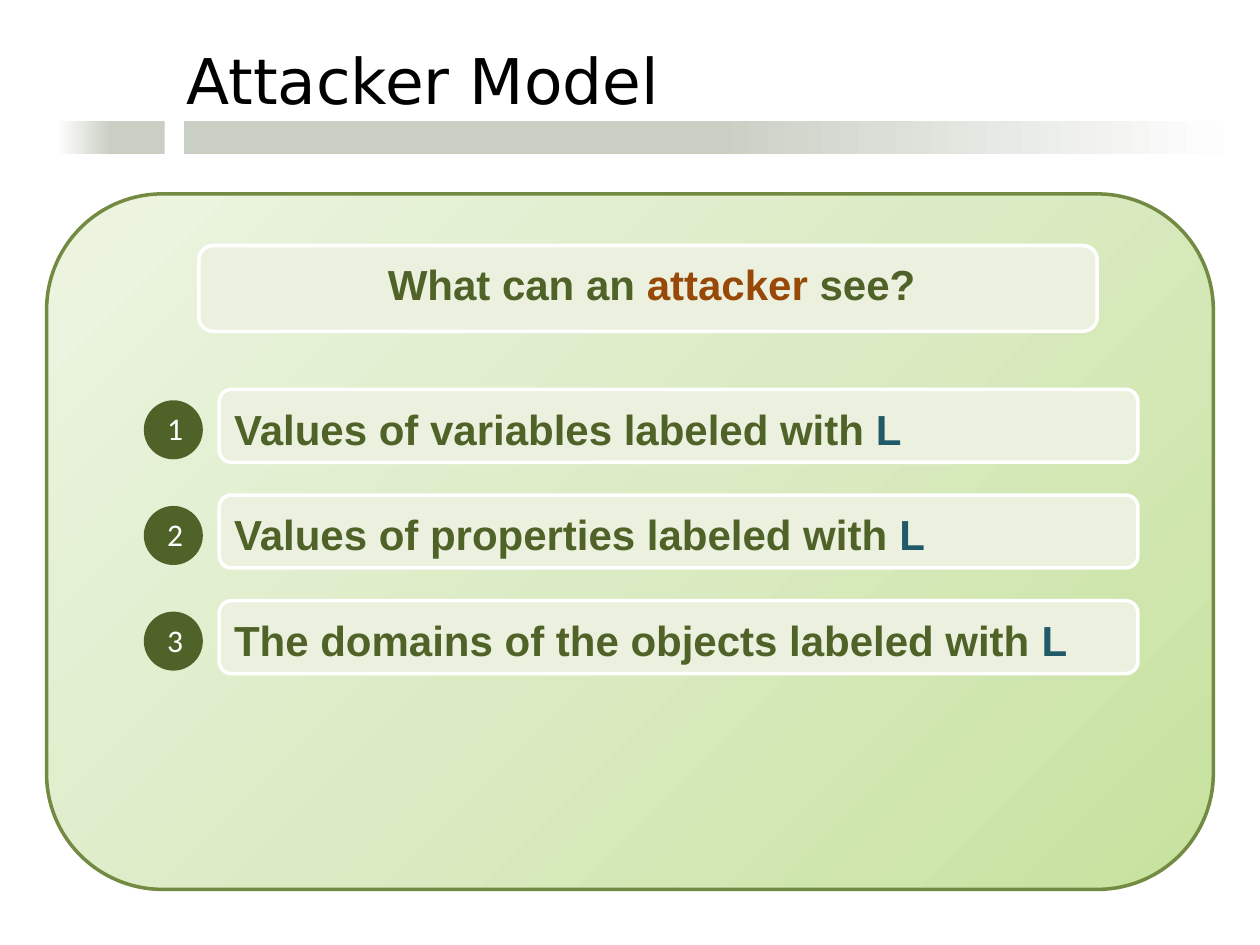
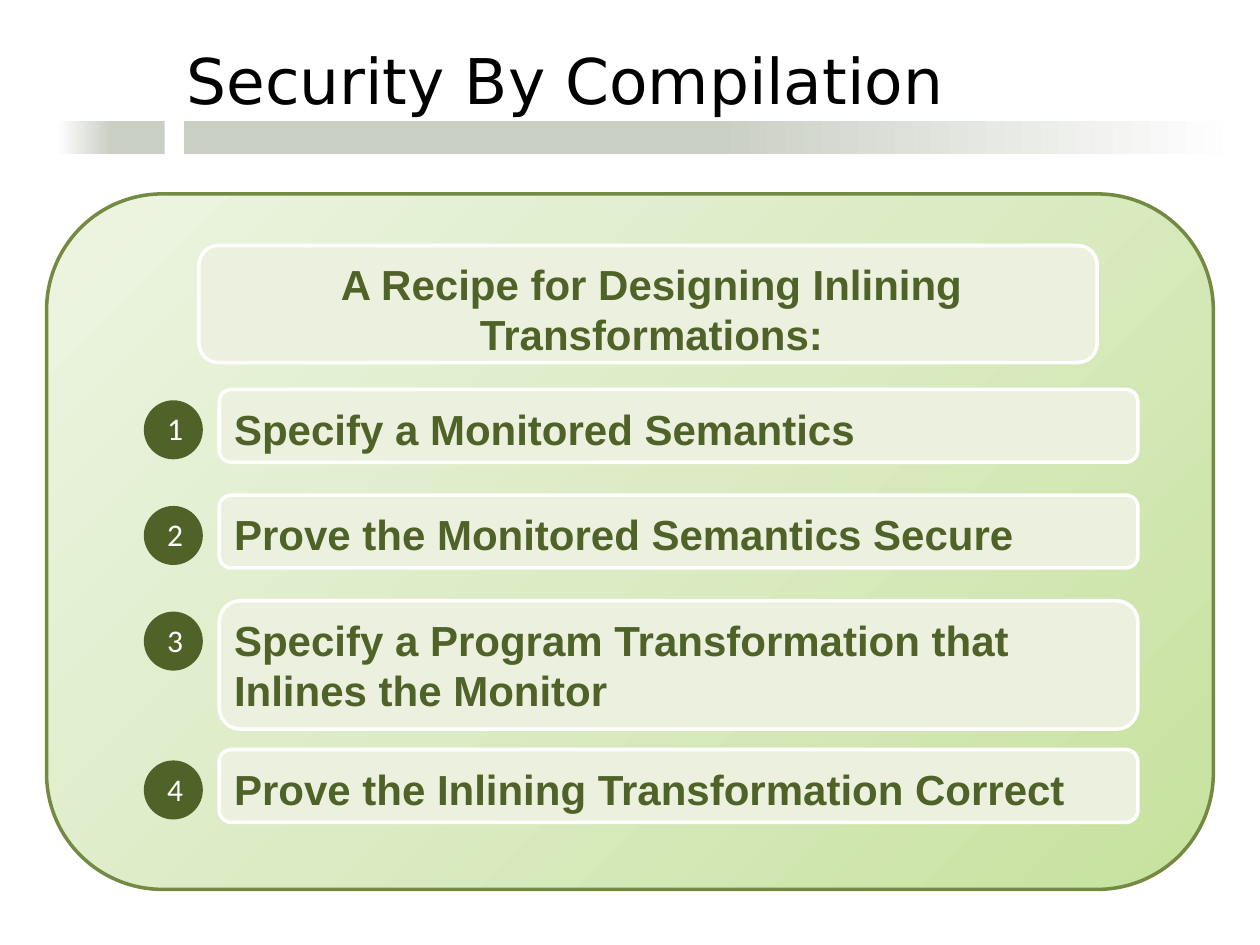
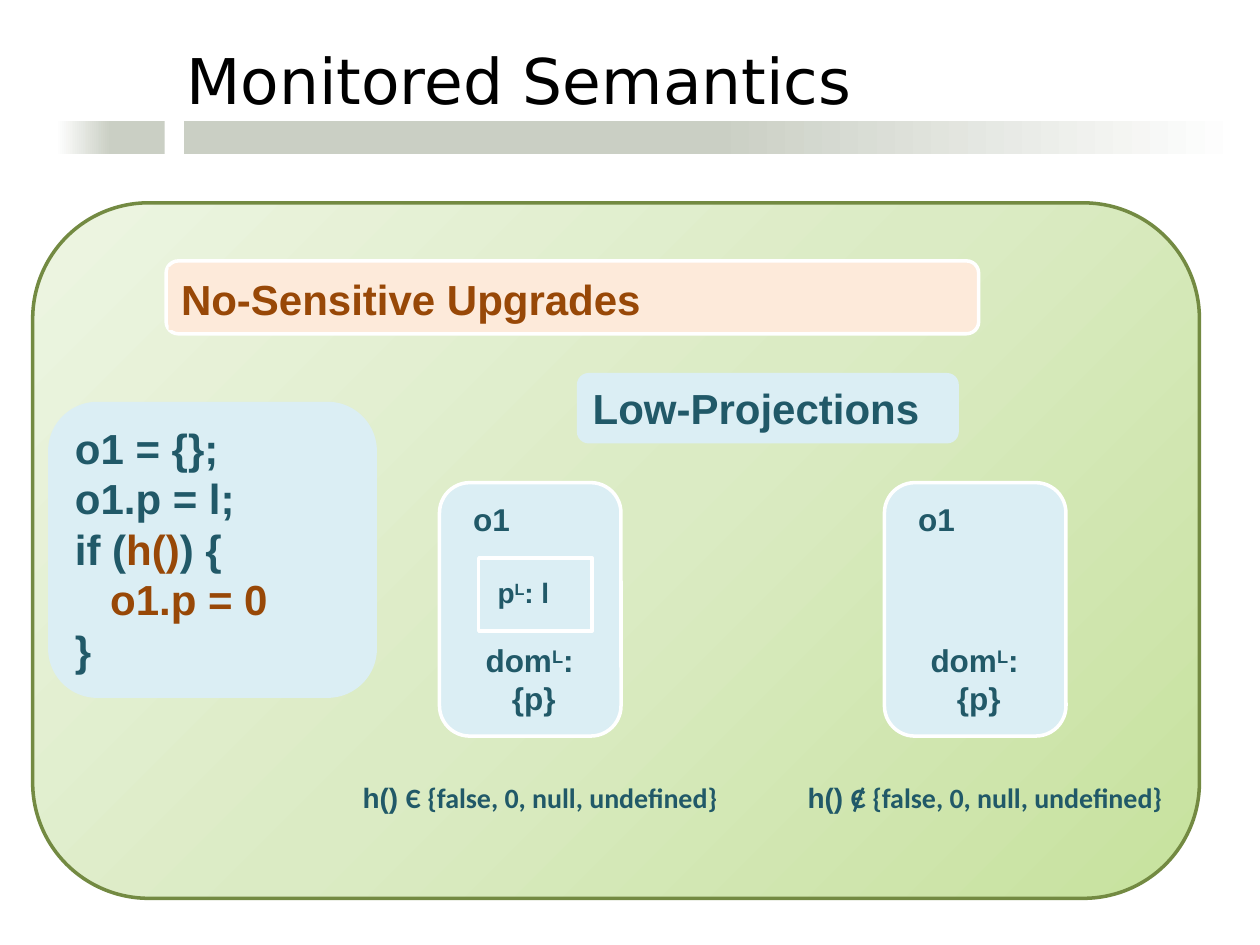
from dataclasses import dataclass

from pptx import Presentation
from pptx import util as u
from pptx.dml.color import RGBColor
from pptx.enum import shapes as kinds
from pptx.enum import text as t
from pptx.oxml import parse_xml
from pptx.oxml.ns import nsdecls, qn
from pptx.shapes import autoshape, shapetree
from pptx.slide import Slide

Canvas = shapetree.SlideShapes | shapetree.GroupShapes
Stops = tuple[tuple[int, str], ...]
RECT = kinds.MSO_SHAPE.RECTANGLE
ROUNDED = kinds.MSO_SHAPE.ROUNDED_RECTANGLE


@dataclass(frozen=True)
class Theme:
    green: str = "4F6228"
    pale_green: str = "EBF1DE"
    rust: str = "984807"
    pale_rust: str = "FDEADA"
    teal: str = "215968"
    pale_teal: str = "DBEEF4"
    white: str = "FFFFFF"
    black: str = "000000"
    panel_line: str = "738A42"
    band: Stops = ((50, "CACFC4"), (100, "FFFFFF"))
    panel: Stops = ((0, "C7E29E"), (50, "DBEBC4"), (100, "EDF5E2"))
    title_font: str = "DejaVu Sans"
    body_font: str = "Arial"
    plain_font: str = "Calibri"
    title_size: int = 36
    body_size: int = 24
    label_size: int = 18
    small_size: int = 16
    border: float = 2
    strike: float = 1.5


THEME = Theme()


@dataclass(frozen=True)
class Box:
    left: float
    top: float
    width: float
    height: float

    def lengths(self) -> tuple[u.Cm, ...]:
        return tuple(u.Cm(v) for v in (self.left, self.top, self.width, self.height))


@dataclass(frozen=True)
class Style:
    size: int
    color: str
    font: str = THEME.body_font
    bold: bool = True
    align: t.PP_ALIGN = t.PP_ALIGN.LEFT
    anchor: t.MSO_ANCHOR = t.MSO_ANCHOR.TOP


@dataclass(frozen=True)
class Piece:
    words: str
    color: str | None = None
    font: str | None = None
    raised: bool = False


@dataclass(frozen=True)
class Line:
    pieces: tuple[Piece, ...]
    indent: float = 0


@dataclass(frozen=True)
class Step:
    line: Line
    height: float = 1.47
    advance: float = 2.13
    label_width: float = 16.43


@dataclass(frozen=True)
class StepSlide:
    title: str
    heading: Line
    heading_height: float
    steps: tuple[Step, ...]


@dataclass(frozen=True)
class Projection:
    left: float
    shows_field: bool


def line(*parts: str | Piece, indent: float = 0) -> Line:
    pieces = tuple(Piece(p) if isinstance(p, str) else p for p in parts)
    return Line(pieces, indent)


TITLE = Style(THEME.title_size, THEME.black, THEME.title_font, False)
HEADING = Style(THEME.body_size, THEME.green, align=t.PP_ALIGN.CENTER)
STEP = Style(THEME.body_size, THEME.green)
NUMBER = Style(THEME.label_size, THEME.white, THEME.plain_font, False)
UPGRADE = Style(THEME.body_size, THEME.rust)
CODE = Style(THEME.body_size, THEME.teal)
OBJECT = Style(THEME.label_size, THEME.teal)
FIELD = Style(THEME.small_size, THEME.teal, anchor=t.MSO_ANCHOR.MIDDLE)
CONDITION = Style(THEME.small_size, THEME.teal)


def write(shape: autoshape.Shape, lines: tuple[Line, ...], style: Style) -> None:
    frame = shape.text_frame
    frame.word_wrap = True
    frame.auto_size = t.MSO_AUTO_SIZE.SHAPE_TO_FIT_TEXT
    frame.vertical_anchor = style.anchor
    for index, content in enumerate(lines):
        paragraph = frame.add_paragraph() if index else frame.paragraphs[0]
        paragraph.alignment = style.align
        if content.indent:
            paragraph._p.get_or_add_pPr().set("marL", str(u.Cm(content.indent)))
        first, *rest = content.pieces
        paragraph.text = first.words
        for piece in rest:
            paragraph.add_run().text = piece.words
        for run, piece in zip(paragraph.runs, content.pieces):
            run.font.name = piece.font or style.font
            run.font.size = u.Pt(style.size)
            run.font.bold = style.bold
            run.font.color.rgb = RGBColor.from_string(piece.color or style.color)
            if piece.raised:
                run._r.get_or_add_rPr().set("baseline", "30000")


def add_text(canvas: Canvas, box: Box, style: Style, *lines: Line) -> None:
    write(canvas.add_textbox(*box.lengths()), lines, style)


def add_block(canvas: Canvas, kind: kinds.MSO_SHAPE, box: Box,
              fill: str | None, border: str | None = None) -> autoshape.Shape:
    block = canvas.add_shape(kind, *box.lengths())
    block.shadow.inherit = False
    if fill:
        block.fill.solid()
        block.fill.fore_color.rgb = RGBColor.from_string(fill)
    if border:
        block.line.color.rgb = RGBColor.from_string(border)
        block.line.width = u.Pt(THEME.border)
    else:
        block.line.fill.background()
    return block


def set_gradient(block: autoshape.Shape, stops: Stops, direction: str) -> None:
    marks = "".join(
        f'<a:gs pos="{place * 1000}"><a:srgbClr val="{color}"/></a:gs>'
        for place, color in stops)
    block.fill.background()
    properties = block._element.spPr
    properties.replace(properties.find(qn("a:noFill")), parse_xml(
        f'<a:gradFill {nsdecls("a")} rotWithShape="1">'
        f"<a:gsLst>{marks}</a:gsLst>{direction}</a:gradFill>"))


def add_band(canvas: Canvas, box: Box, rotation: float = 0) -> None:
    band = add_block(canvas, RECT, box, None)
    set_gradient(band, THEME.band, '<a:lin ang="0" scaled="1"/>')
    band.rotation = rotation


def add_frame(deck: Presentation, title: str, left: float, top: float) -> Slide:
    slide = deck.slides.add_slide(deck.slide_layouts[6])
    add_band(slide.shapes, Box(3.71, 2.44, 21.31, 0.66))
    add_text(slide.shapes, Box(3.51, 0.71, 19.69, 1.8), TITLE, line(title))
    panel = add_block(slide.shapes, ROUNDED, Box(left, top, 23.52, 14.02),
                      None, THEME.panel_line)
    set_gradient(panel, THEME.panel,
                 '<a:path path="circle"><a:fillToRect l="100000" t="100000"/></a:path>')
    add_band(slide.shapes, Box(1.14, 2.44, 2.18, 0.66), 180)
    return slide


def add_step(canvas: Canvas, number: int, step: Step, top: float) -> None:
    add_block(canvas, ROUNDED, Box(4.42, top, 18.52, step.height),
              THEME.pale_green, THEME.white)
    add_block(canvas, kinds.MSO_SHAPE.OVAL, Box(2.9, top + 0.22, 1.19, 1.19), THEME.green)
    add_text(canvas, Box(3.12, top + 0.28, 0.74, 1.02), NUMBER, line(str(number)))
    add_text(canvas, Box(4.47, top + 0.15, step.label_width, step.height - 0.2),
             STEP, step.line)


def add_step_slide(deck: Presentation, content: StepSlide) -> None:
    slide = add_frame(deck, content.title, 0.94, 3.91)
    add_block(slide.shapes, ROUNDED, Box(4.01, 4.95, 18.11, content.heading_height),
              THEME.pale_green, THEME.white)
    add_text(slide.shapes, Box(4.32, 5.08, 17.63, content.heading_height - 0.25),
             HEADING, content.heading)
    top = 7.85
    for number, step in enumerate(content.steps, 1):
        add_step(slide.shapes.add_group_shape().shapes, number, step, top)
        top += step.advance


def add_projection(canvas: Canvas, projection: Projection) -> None:
    left = projection.left
    low = Piece("L", raised=True)
    add_block(canvas, ROUNDED, Box(left, 9.73, 3.66, 5.11), THEME.pale_teal, THEME.white)
    if projection.shows_field:
        add_block(canvas, RECT, Box(left + 0.79, 11.25, 2.29, 1.47),
                  THEME.pale_teal, THEME.white)
        add_text(canvas, Box(left + 0.92, 11.48, 2.77, 0.94), FIELD, line("p", low, ": l"))
    add_text(canvas, Box(left + 0.43, 9.96, 1.27, 1.02), OBJECT, line("o1"))
    add_text(canvas, Box(left + 0.68, 12.8, 3.61, 1.8), OBJECT,
             line("dom", low, ":"), line("{p}", indent=0.53))
    add_text(canvas, Box(left - 1.8, 15.62, 7.9, 0.94), CONDITION,
             line("h() ", Piece("Є {false, 0, null, undefined}", font=THEME.plain_font)))
    if not projection.shows_field:
        ends = (left - 0.43, 15.88, left - 0.61, 16.36)
        strike = canvas.add_connector(kinds.MSO_CONNECTOR.STRAIGHT, *map(u.Cm, ends))
        strike.line.color.rgb = RGBColor.from_string(THEME.teal)
        strike.line.width = u.Pt(THEME.strike)
        strike._element.spPr.append(parse_xml(f'<a:effectLst {nsdecls("a")}/>'))


def add_semantics_slide(deck: Presentation) -> None:
    slide = add_frame(deck, "Monitored Semantics", 0.66, 4.09)
    upgrade = slide.shapes.add_group_shape().shapes
    add_block(upgrade, ROUNDED, Box(3.35, 5.26, 16.38, 1.47), THEME.pale_rust, THEME.white)
    rule = add_block(upgrade, RECT, Box(3.4, 5.38, 15.82, 1.27), THEME.pale_rust)
    write(rule, (line("No-Sensitive Upgrades"),), UPGRADE)

    program = add_block(slide.shapes, ROUNDED, Box(0.97, 8.1, 6.63, 5.97), THEME.pale_teal)
    write(program, (
        line("o1 = {};"),
        line("o1.p = l;"),
        line("if (", Piece("h()", THEME.rust), ") {"),
        line(Piece("o1.p = 0", THEME.rust), indent=0.71),
        line("}"),
    ), CODE)
    caption = add_block(slide.shapes, ROUNDED, Box(11.63, 7.52, 7.7, 1.42), THEME.pale_teal)
    write(caption, (line("Low-Projections"),), CODE)

    for projection in (Projection(8.86, True), Projection(17.83, False)):
        add_projection(slide.shapes.add_group_shape().shapes, projection)


LOW = Piece("L", THEME.teal)
STEP_SLIDES = (
    StepSlide(
        "Attacker Model",
        line("What can an ", Piece("attacker", THEME.rust), " see?"),
        1.73,
        (
            Step(line("Values of variables labeled with ", LOW)),
            Step(line("Values of properties labeled with ", LOW)),
            Step(line("The domains of the objects labeled with ", LOW), label_width=18.82),
        ),
    ),
    StepSlide(
        "Security By Compilation",
        line("A Recipe for Designing Inlining Transformations:"),
        2.36,
        (
            Step(line("Specify a Monitored Semantics")),
            Step(line("Prove the Monitored Semantics Secure")),
            Step(line("Specify a Program Transformation that Inlines the Monitor"),
                 height=2.59, advance=3, label_width=18.82),
            Step(line("Prove the Inlining Transformation Correct"), label_width=18.19),
        ),
    ),
)


def main() -> None:
    deck = Presentation()
    deck.slide_width = u.Cm(25.4)
    deck.slide_height = u.Cm(19.05)
    for content in STEP_SLIDES:
        add_step_slide(deck, content)
    add_semantics_slide(deck)
    deck.save("out.pptx")


main()
